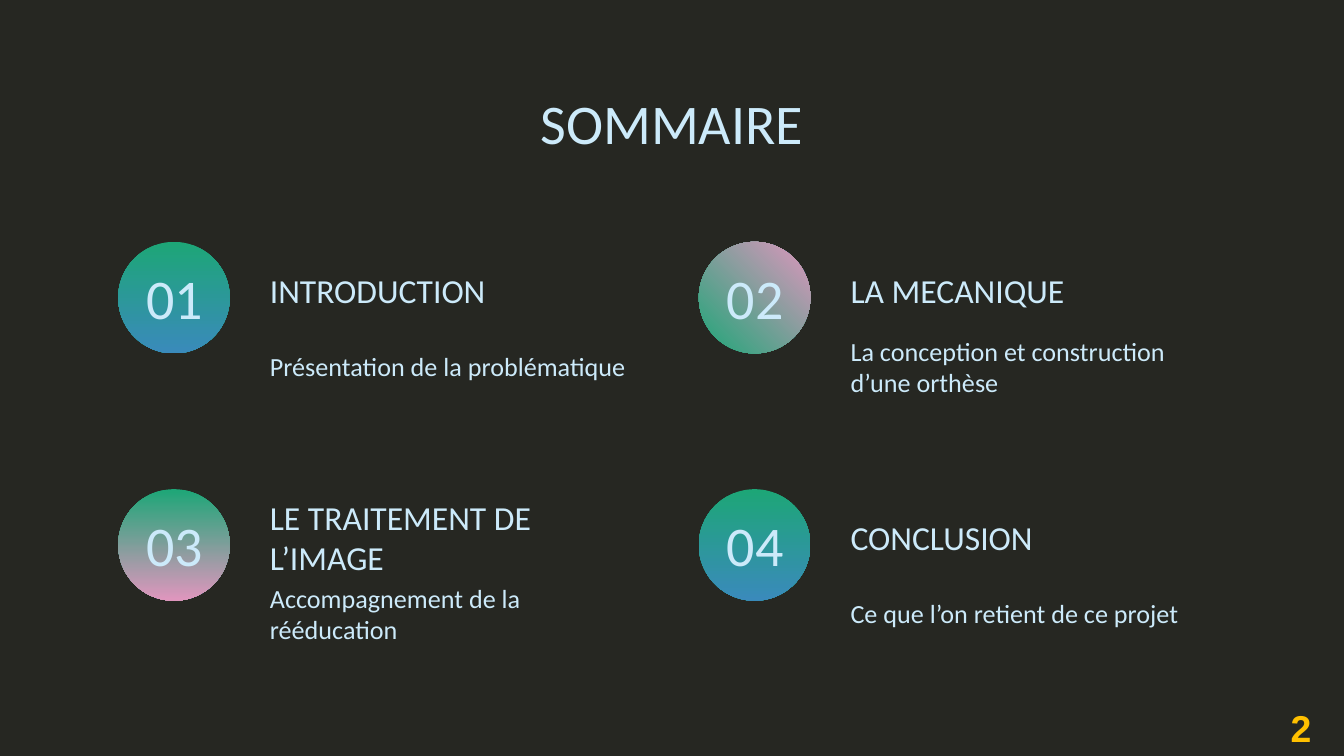
from dataclasses import dataclass

from pptx import Presentation
from pptx.dml.color import RGBColor
from pptx.enum.shapes import MSO_SHAPE as Shape
from pptx.enum.text import MSO_ANCHOR as Anchor, MSO_AUTO_SIZE as AutoSize, PP_ALIGN as Align
from pptx.util import Inches, Pt

BACKGROUND = RGBColor(0x26, 0x27, 0x22)
PALE_BLUE = RGBColor(0xCC, 0xEA, 0xFA)
GREEN = RGBColor(0x1D, 0xA6, 0x77)
BLUE = RGBColor(0x3A, 0x8A, 0xBB)
PINK = RGBColor(0xE0, 0x96, 0xBE)
AMBER = RGBColor(0xFF, 0xC0, 0x00)

# Grid of two columns and two rows, in inches
LEFT, TOP = 0.78, 1.8
COL_STEP, ROW_STEP = 4.32, 1.84
DOWNWARD, UP_RIGHT = 270, 45  # gradient directions, counter-clockwise degrees


@dataclass(frozen=True)
class Section:
    heading: str
    summary: str
    end_color: RGBColor
    angle: int = DOWNWARD
    summary_width: float = 2.99


@dataclass(frozen=True)
class Style:
    size: int
    align: Align = Align.LEFT
    font: str = "Calibri"
    color: RGBColor = PALE_BLUE
    bold: bool = False


TITLE = Style(30, Align.CENTER)
HEADING = Style(18)
SUMMARY = Style(14)
PAGE_NUMBER = Style(20, Align.CENTER, "Arial", AMBER, True)

SECTIONS = [
    Section("INTRODUCTION", "Présentation de la problématique", BLUE, summary_width=3.66),
    Section("LA MECANIQUE", "La conception et construction d’une orthèse", PINK, UP_RIGHT),
    Section("LE TRAITEMENT DE L’IMAGE", "Accompagnement de la rééducation", PINK),
    Section("CONCLUSION", "Ce que l’on retient de ce projet", BLUE),
]


def write(sp, text: str, style: Style, inset: float = 0.1) -> None:
    tf = sp.text_frame
    tf.word_wrap = True
    tf.auto_size = AutoSize.NONE
    tf.vertical_anchor = Anchor.MIDDLE
    tf.margin_left = tf.margin_right = Inches(0.1)
    tf.margin_top = tf.margin_bottom = Inches(inset)
    p = tf.paragraphs[0]
    p.text = text
    p.alignment = style.align
    p.font.name = style.font
    p.font.size = Pt(style.size)
    p.font.bold = style.bold
    p.font.color.rgb = style.color


def add_text(s, x: float, y: float, w: float, h: float, text: str,
             style: Style, inset: float = 0.1) -> None:
    sp = s.shapes.add_textbox(Inches(x), Inches(y), Inches(w), Inches(h))
    write(sp, text, style, inset)


def add_disc(s, x: float, y: float, section: Section) -> None:
    sp = s.shapes.add_shape(Shape.OVAL, Inches(x), Inches(y), Inches(0.83), Inches(0.83))
    sp.shadow.inherit = False
    sp.line.fill.background()
    sp.fill.gradient()
    sp.fill.gradient_angle = section.angle
    for stop, color in zip(sp.fill.gradient_stops, (GREEN, section.end_color)):
        stop.color.rgb = color


def add_section(s, index: int, section: Section) -> None:
    row, col = divmod(index, 2)
    x, y = LEFT + col * COL_STEP, TOP + row * ROW_STEP
    add_disc(s, x + 0.1, y, section)
    add_text(s, x, y + 0.14, 1.04, 0.54, f"{index + 1:02}", TITLE)
    add_text(s, x + 1.13, y + 0.14, 2.99, 0.43, section.heading, HEADING)
    add_text(s, x + 1.13, y + 0.57, section.summary_width, 0.71, section.summary, SUMMARY)


def main() -> None:
    prs = Presentation()
    prs.slide_width = Inches(10)
    prs.slide_height = prs.slide_width * 9 // 16
    s = prs.slides.add_slide(prs.slide_layouts[5])
    s.background.fill.solid()
    s.background.fill.fore_color.rgb = BACKGROUND

    # Title
    title = s.shapes.title
    title.left, title.top = Inches(LEFT), Inches(0.59)
    title.width, title.height = Inches(8.44), Inches(0.63)
    write(title, "SOMMAIRE", TITLE)

    # Numbered sections
    for index, section in enumerate(SECTIONS):
        add_section(s, index, section)

    # Page number
    add_text(s, 9.37, 5.19, 0.62, 0.44, "2", PAGE_NUMBER, inset=0.05)

    prs.save("out.pptx")


if __name__ == "__main__":
    main()
